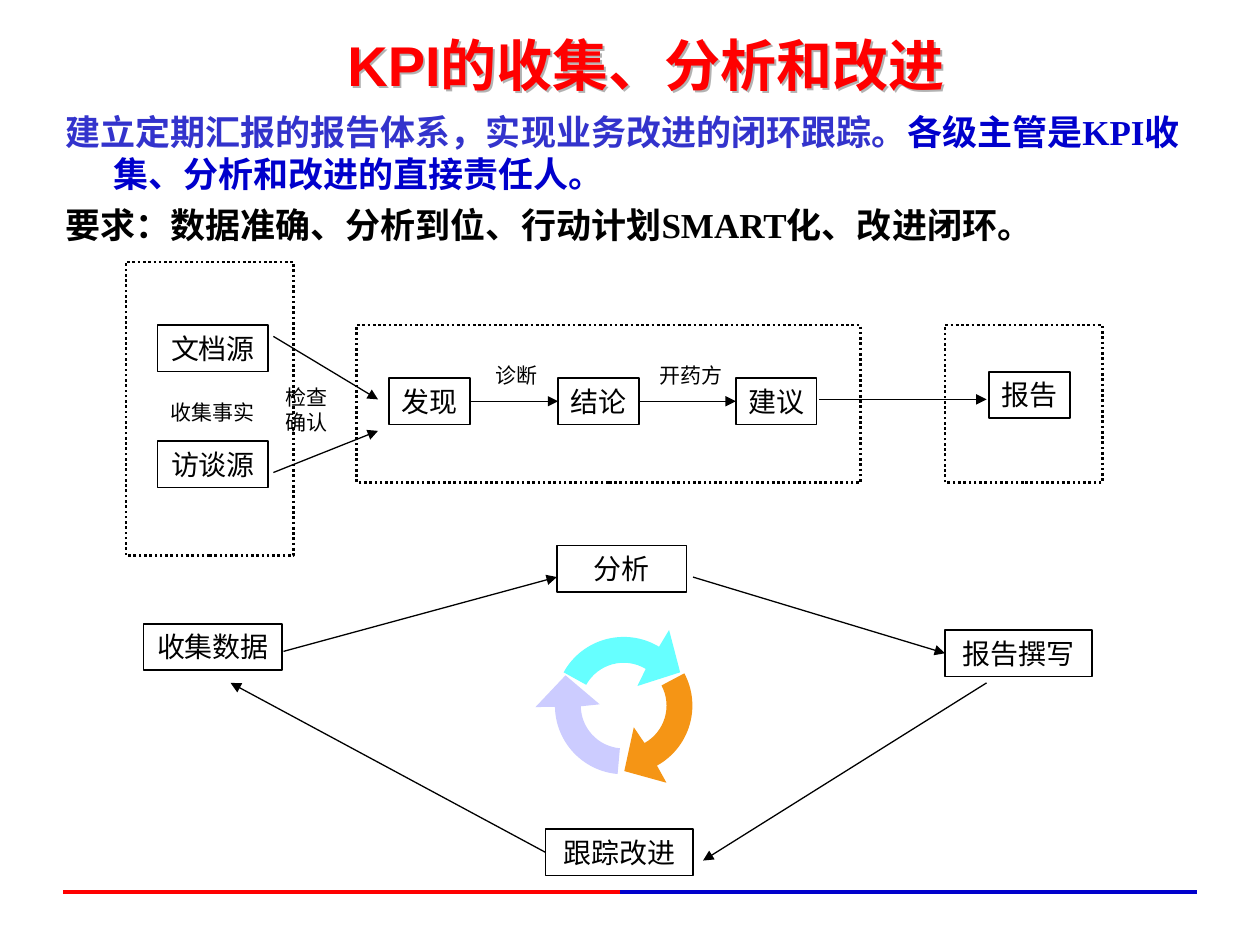
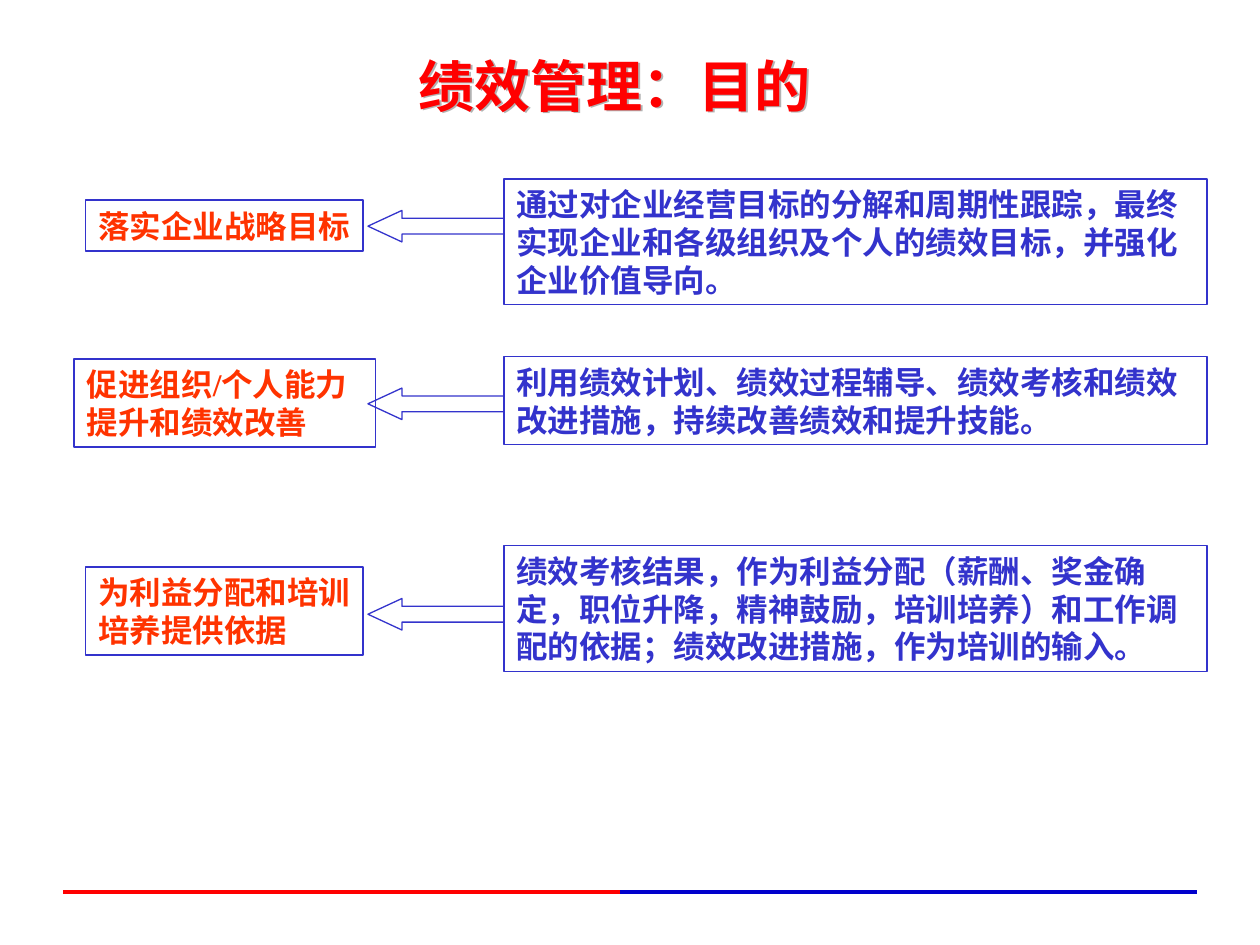
import math

from lxml import etree
from pptx import Presentation
from pptx import util as u
from pptx.dml.color import RGBColor
from pptx.enum import dml, shapes, text
from pptx.oxml.ns import qn

SCALE = 9144
RED, NAVY, BLUE, BLACK = "FF0000", "0000CC", "3333CC", "000000"
ORANGE_RED, CYAN, ORANGE, LILAC = "FF3300", "66FFFF", "F59515", "CCCCFF"
SHADOW = "B2B2B2"
SERIF, SANS = "Times New Roman", "Arial"
CENTER, LEFT = text.PP_ALIGN.CENTER, text.PP_ALIGN.LEFT
RECT, LEFT_ARROW = shapes.MSO_SHAPE.RECTANGLE, shapes.MSO_SHAPE.LEFT_ARROW


def px(n):
    """Turn px into EMU, with 100 px to the inch."""
    return u.Emu(round(n * SCALE))


def color(value):
    """Turn a hex string into a colour."""
    return RGBColor.from_string(value)


def write(sp, paras, size, align=LEFT, font=SERIF, bold=False, wrap=True, grow=True):
    """Fill a shape with paragraphs, each a list of (text, colour) runs."""
    tf = sp.text_frame
    tf.word_wrap = wrap
    tf.auto_size = text.MSO_AUTO_SIZE.SHAPE_TO_FIT_TEXT if grow else text.MSO_AUTO_SIZE.NONE
    tf.vertical_anchor = text.MSO_ANCHOR.TOP
    for i, runs in enumerate(paras):
        p = tf.add_paragraph() if i else tf.paragraphs[0]
        p.alignment = align
        p._p.get_or_add_pPr().set("hangingPunct", "0")
        for words, hue in runs:
            r = p.add_run()
            r.text = words
            r.font.name, r.font.size, r.font.bold = font, u.Pt(size), bold
            r.font.color.rgb = color(hue)
    return tf


def label(s, x, y, w, h, lines, size=12, **style):
    """Add a centred text box without an outline."""
    sp = s.shapes.add_textbox(px(x), px(y), px(w), px(h))
    write(sp, [[(words, BLACK)] for words in lines], size, CENTER, wrap=False, **style)


def outline(s, x, y, w, h, hue=BLACK, width=1, kind=RECT):
    """Add an unfilled preset shape."""
    sp = s.shapes.add_shape(kind, px(x), px(y), px(w), px(h))
    sp.shadow.inherit = False
    sp.fill.background()
    sp.line.color.rgb = color(hue)
    sp.line.width = u.Pt(width)
    return sp


def node(s, x, y, w, words, wrap=False):
    """Add a one-line step box."""
    sp = outline(s, x, y, w, 37)
    write(sp, [[(words, BLACK)]], 16, CENTER, wrap=wrap)
    return sp


def line(s, x1, y1, x2, y2, hue=BLACK, width=0.75, arrow=True, start=None, end=None):
    """Add a straight line, joined to the given (shape, side) pairs."""
    c = s.shapes.add_connector(shapes.MSO_CONNECTOR.STRAIGHT, px(x1), px(y1), px(x2), px(y2))
    c.line.color.rgb = color(hue)
    c.line.width = u.Pt(width)
    pr = c._element.spPr
    if arrow:
        etree.SubElement(pr.find(qn("a:ln")), qn("a:tailEnd"), type="triangle")
    etree.SubElement(pr, qn("a:effectLst"))
    if start is not None:
        c.begin_connect(*start)
    if end is not None:
        c.end_connect(*end)


def title(s, x, y, w, words):
    """Add the red title with its grey text shadow."""
    sp = s.shapes.add_textbox(px(x), px(y), px(w), px(74))
    tf = write(sp, [[(words, RED)]], 32, CENTER, SANS, True)
    tf.paragraphs[0].line_spacing = 1.2
    effects = etree.SubElement(sp._element.spPr, qn("a:effectLst"))
    shade = etree.SubElement(effects, qn("a:outerShdw"), dist="18000", dir="2700000")
    etree.SubElement(shade, qn("a:srgbClr"), val=SHADOW)


def footer(s, x=50, y=708):
    """Add the two-colour rule at the foot."""
    for start, end, hue in ((0, 442, RED), (442, 900, NAVY)):
        line(s, x + start, y, x + end, y, hue, 2.25, arrow=False)


def new_slide(prs, x, y, w, words):
    """Add a blank slide with footer and title."""
    s = prs.slides.add_slide(prs.slide_layouts[6])
    footer(s)
    title(s, x, y, w, words)
    return s


def intro(s, x, y):
    """Add the two statements with hanging indents."""
    sp = s.shapes.add_textbox(px(x), px(y), px(925), px(50))
    tf = write(sp, [
        [("建立定期汇报的报告体系，实现业务改进的闭环跟踪。", BLUE),
         ("各级主管是KPI收集、分析和改进的直接责任人。", NAVY)],
        [("要求：数据准确、分析到位、行动计划SMART化、改进闭环。", BLACK)],
    ], 20, bold=True, grow=False)
    for p in tf.paragraphs:
        pr = p._p.get_or_add_pPr()
        pr.set("marL", str(px(38)))
        pr.set("indent", str(-px(38)))
    tf.paragraphs[1].space_before = u.Pt(5)


def report_flow(s, x, y):
    """Add the flow from sources to report."""
    for dx, dy, w, h in ((0, 0, 133, 233), (183, 50, 400, 125), (650, 50, 125, 125)):
        sp = outline(s, x + dx, y + dy, w, h, width=1.5)
        sp.line.dash_style = dml.MSO_LINE.ROUND_DOT
    for dy, words in ((50, "文档源"), (142, "访谈源")):
        node(s, x + 25, y + dy, 88, words)
    steps = ((209, 92, "发现"), (343, 92, "结论"), (484, 92, "建议"), (685, 87, "报告"))
    found, concluded, advised, _ = [node(s, x + dx, y + dy, 64, words) for dx, dy, words in steps]
    label(s, x + 24, y + 104, 89, 30, ["收集事实"])
    label(s, x + 117, y + 92, 53, 50, ["检查", "确认"])
    label(s, x + 283, y + 75, 54, 30, ["诊断"])
    label(s, x + 413, y + 75, 71, 30, ["开药方"])
    line(s, x + 117, y + 59, x + 200, y + 109)
    line(s, x + 117, y + 167, x + 200, y + 134)
    line(s, x + 275, y + 109, x + 342, y + 109, start=(found, 3), end=(concluded, 1))
    line(s, x + 408, y + 109, x + 483, y + 109, start=(concluded, 3), end=(advised, 1))
    line(s, x + 550, y + 109, x + 683, y + 109)


def arc(radius, start, end):
    """Return the four polar points of a cubic curve along an arc."""
    k = 4 / 3 * math.tan(math.radians(end - start) / 4)
    reach, turn = radius * math.hypot(1, k), math.degrees(math.atan(k))
    return [(radius, start), (reach, start + turn), (reach, end - turn), (radius, end)]


def bend(sp, *firsts):
    """Turn the three line segments from each given index into one cubic curve."""
    segments = list(sp._element.iter(qn("a:lnTo")))
    for first in firsts:
        curve = etree.Element(qn("a:cubicBezTo"))
        segments[first].addprevious(curve)
        for segment in segments[first:first + 3]:
            curve.append(segment[0])
            segment.getparent().remove(segment)


def ring_arrow(s, cx, cy, tail, base, hue):
    """Add a curved arrow around a centre, from the tail angle to the head base."""
    head = [(70, base), (52, base + 28.5), (19, base + 4)]
    polar = arc(54.5, tail, base) + head + arc(34, base, tail)
    points = [(px(cx + r * math.cos(math.radians(a))), px(cy + r * math.sin(math.radians(a))))
              for r, a in polar]
    fb = s.shapes.build_freeform(*points[0], scale=1.0)
    fb.add_line_segments(points[1:], close=True)
    sp = fb.convert_to_shape()
    bend(sp, 0, 7)
    sp.shadow.inherit = False
    sp.fill.solid()
    sp.fill.fore_color.rgb = color(hue)
    sp.line.fill.background()


def improvement_cycle(s, x, y):
    """Add the four-step loop around the ring of arrows."""
    node(s, x - 1, y + 62, 110, "收集数据")
    node(s, x + 327, y, 103, "分析", True)
    report = node(s, x + 635, y + 67, 117, "报告撰写", True)
    track = node(s, x + 318, y + 225, 117, "跟踪改进", True)
    line(s, x + 110, y + 84, x + 327, y + 25)
    line(s, x + 435, y + 25, x + 635, y + 84, end=(report, 1))
    line(s, x + 668, y + 109, x + 443, y + 250)
    line(s, x + 318, y + 242, x + 68, y + 109, start=(track, 1))
    for tail, base, hue in ((209, 301, CYAN), (-28, 61, ORANGE), (95, 179, LILAC)):
        ring_arrow(s, x + 380, y + 127, tail, base, hue)


def purpose_row(s, y, h, goal_box, arrow_dy, goal, means):
    """Add an explanation, an arrow and the goal it serves."""
    x, dy, w, goal_h = goal_box
    sp = outline(s, x, y + dy, w, goal_h, BLUE)
    write(sp, [[(words, ORANGE_RED)] for words in goal], 18, bold=True, wrap=False)
    sp = outline(s, 400, y, 558, h, BLUE, 0.75)
    write(sp, [[(words, BLUE)] for words in means], 18, bold=True)
    sp = outline(s, 292, y + arrow_dy, 108, 25, BLUE, 0.75, LEFT_ARROW)
    sp.adjustments[0], sp.adjustments[1] = 0.5, 1.08


def kpi_slide(prs):
    """Build the slide on collecting, analysing and improving."""
    s = new_slide(prs, 217, 9, 592, "KPI的收集、分析和改进")
    intro(s, 42, 83)
    report_flow(s, 100, 208)
    improvement_cycle(s, 115, 433)


def purpose_slide(prs):
    """Build the slide on the purposes."""
    s = new_slide(prs, 142, 25, 692, "绩效管理：目的")
    purpose_row(s, 142, 100, (68, 17, 220, 40), 25, ["落实企业战略目标"],
                ["通过对企业经营目标的分解和周期性跟踪，最终",
                 "实现企业和各级组织及个人的绩效目标，并强化企业价值导向。"])
    purpose_row(s, 283, 70, (59, 2, 239, 70), 25, ["促进组织/个人能力", "提升和绩效改善"],
                ["利用绩效计划、绩效过程辅导、绩效考核和绩效",
                 "改进措施，持续改善绩效和提升技能。"])
    purpose_row(s, 433, 100, (68, 17, 220, 70), 42, ["为利益分配和培训", "培养提供依据"],
                ["绩效考核结果，作为利益分配（薪酬、奖金确定，职位升降，精神鼓励，培训培养）"
                 "和工作调配的依据；绩效改进措施，作为培训的输入。"])


def main():
    """Build and save the presentation."""
    prs = Presentation()
    prs.slide_width, prs.slide_height = px(1000), px(750)
    kpi_slide(prs)
    purpose_slide(prs)
    prs.save("out.pptx")


if __name__ == "__main__":
    main()
